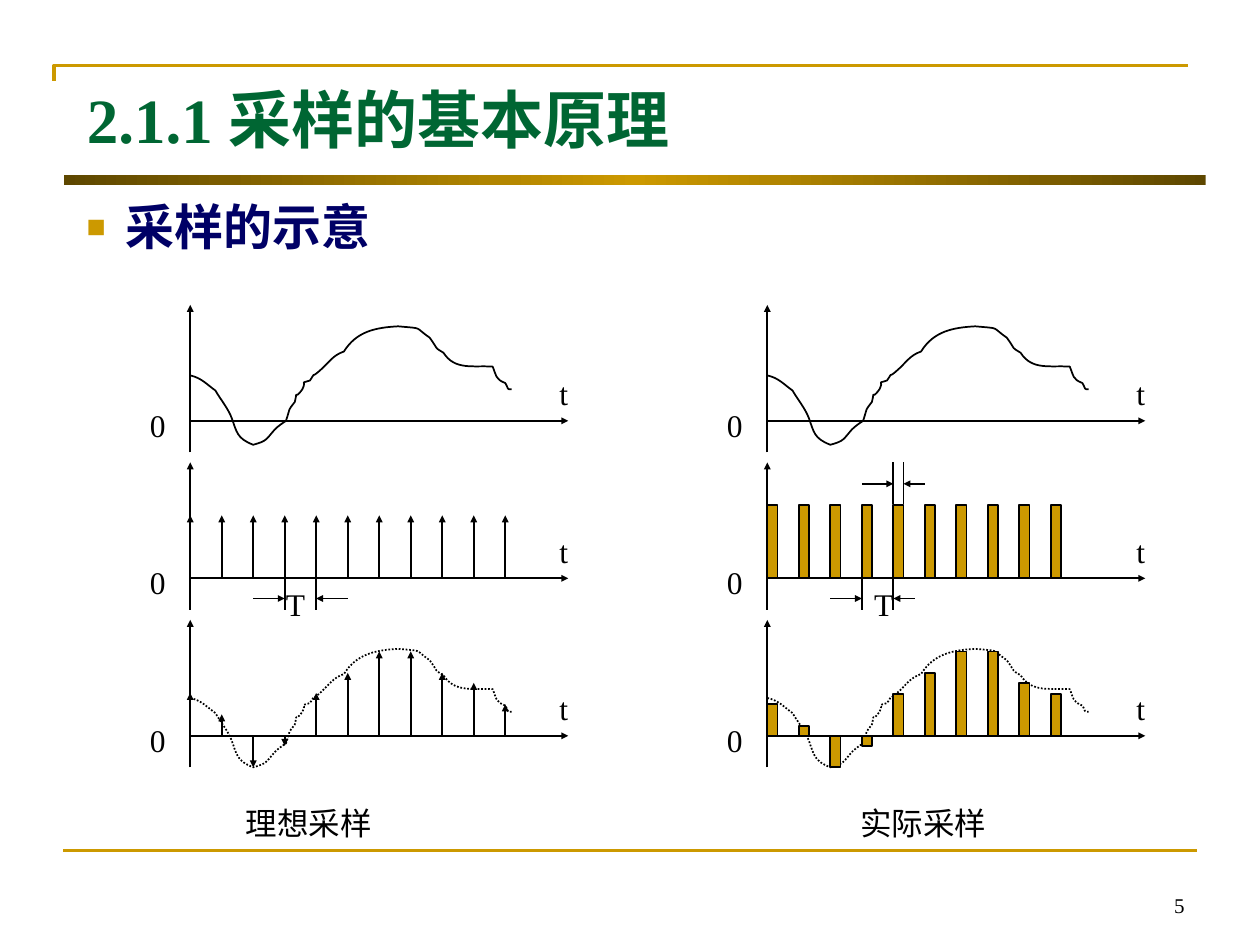
import copy

import lxml.etree
import pptx
import pptx.dml.color
import pptx.enum.dml
import pptx.enum.shapes
import pptx.enum.text
import pptx.oxml
import pptx.oxml.ns
import pptx.util

Inches = pptx.util.Inches
Pt = pptx.util.Pt
RGBColor = pptx.dml.color.RGBColor
qn = pptx.oxml.ns.qn
RECTANGLE = pptx.enum.shapes.MSO_SHAPE.RECTANGLE
ANCHOR = pptx.enum.text.MSO_ANCHOR
ALIGN = pptx.enum.text.PP_ALIGN

COLORS = {
    "gold": "CC9900",
    "brown": "5E4700",
    "green": "006633",
    "navy": "000066",
    "black": "000000",
}
SERIF = "Times New Roman"
CJK = "Noto Sans CJK SC"


def add_line(shapes, x1, y1, x2, y2, arrow=False, color="black", width=1):
    line = shapes.add_connector(
        pptx.enum.shapes.MSO_CONNECTOR.STRAIGHT,
        Inches(x1), Inches(y1), Inches(x2), Inches(y2),
    )
    line.line.color.rgb = RGBColor.from_string(COLORS[color])
    line.line.width = Pt(width)
    if arrow:
        outline = line.line._get_or_add_ln()
        lxml.etree.SubElement(outline, qn("a:tailEnd"), type="triangle", w="sm", len="sm")
    lxml.etree.SubElement(line._element.spPr, qn("a:effectLst"))


def add_text(shapes, text, left, top, width, height, size=18, font=SERIF, color="black", bold=False):
    box = shapes.add_textbox(Inches(left), Inches(top), Inches(width), Inches(height))
    box.text_frame.word_wrap = True
    paragraph = box.text_frame.paragraphs[0]
    paragraph.text = text
    paragraph.font.size = Pt(size)
    paragraph.font.name = font
    paragraph.font.bold = bold
    paragraph.font.color.rgb = RGBColor.from_string(COLORS[color])
    return box


presentation = pptx.Presentation()
presentation.slide_width = Inches(10)
presentation.slide_height = Inches(7.5)
slide = presentation.slides.add_slide(presentation.slide_layouts[5])

builder = slide.shapes.build_freeform(Inches(0.43), Inches(0.64))
builder.add_line_segments([(Inches(0.43), Inches(0.52)), (Inches(9.43), Inches(0.52))], close=False)
corner = builder.convert_to_shape()
corner.shadow.inherit = False
corner.fill.background()
corner.line.color.rgb = RGBColor.from_string(COLORS["gold"])
corner.line.width = Pt(2.25)
add_line(slide.shapes, 0.5, 6.75, 9.5, 6.75, color="gold", width=1.5)

band = slide.shapes.add_shape(RECTANGLE, Inches(0.51), Inches(1.39), Inches(9.06), Inches(0.08))
band.shadow.inherit = False
band.line.fill.background()
band.fill.gradient()
band.fill.gradient_angle = 0
stop_list = band._element.spPr.find(qn("a:gradFill")).find(qn("a:gsLst"))
stop_list.insert(1, copy.deepcopy(stop_list[0]))
for stop, (position, color) in zip(
    band.fill.gradient_stops, [(0, "brown"), (0.5, "gold"), (1, "brown")]
):
    stop.position = position
    stop.color.rgb = RGBColor.from_string(COLORS[color])

title = slide.shapes.title
title.left, title.top, title.width, title.height = map(Inches, (0.59, 0.44, 9, 0.99))
title.text_frame.text = "2.1.1 采样的基本原理"
title.text_frame.vertical_anchor = ANCHOR.MIDDLE
paragraph = title.text_frame.paragraphs[0]
paragraph.alignment = ALIGN.LEFT
paragraph.font.size = Pt(36)
paragraph.font.name = SERIF
paragraph.font.bold = True
paragraph.font.color.rgb = RGBColor.from_string(COLORS["green"])

body = add_text(slide.shapes, "采样的示意", 0.59, 1.28, 9, 4.95, 28, CJK, "navy", True)
paragraph = body.text_frame.paragraphs[0]
properties = paragraph._p.get_or_add_pPr()
properties.set("marL", str(Inches(0.31)))
properties.set("indent", str(Inches(-0.31)))
bullet = pptx.oxml.parse_xml(
    '<a:pPr xmlns:a="http://schemas.openxmlformats.org/drawingml/2006/main">'
    f'<a:buClr><a:srgbClr val="{COLORS["gold"]}"/></a:buClr>'
    '<a:buSzPct val="65000"/><a:buFont typeface="Arial"/><a:buChar char="■"/></a:pPr>'
)
for index, element in enumerate(list(bullet)):
    properties.insert(index, element)
paragraph.line_spacing = 1.5

number = add_text(slide.shapes, "5", 7.17, 6.83, 2.33, 0.5, size=12)
number.text_frame.vertical_anchor = ANCHOR.BOTTOM
number.text_frame.paragraphs[0].alignment = ALIGN.RIGHT

signal_start = (0, 0.39)
signal_beziers = [
    ((0.09, 0.41), (0.13, 0.46), (0.2, 0.51)),
    ((0.24, 0.58), (0.3, 0.65), (0.33, 0.73)),
    ((0.37, 0.84), (0.37, 0.89), (0.5, 0.94)),
    ((0.61, 0.91), (0.6, 0.9), (0.67, 0.82)),
    ((0.7, 0.79), (0.73, 0.77), (0.76, 0.75)),
    ((0.8, 0.63), (0.77, 0.68), (0.83, 0.6)),
    ((0.86, 0.47), (0.81, 0.61), (0.89, 0.5)),
    ((0.93, 0.42), (0.86, 0.46), (0.95, 0.43)),
    ((1.01, 0.34), (0.94, 0.43), (1.03, 0.35)),
    ((1.1, 0.29), (1.13, 0.23), (1.22, 0.2)),
    ((1.32, 0.04), (1.47, 0.01), (1.65, 0)),
    ((1.86, 0.02), (1.77, 0), (1.9, 0.09)),
    ((1.98, 0.2), (1.93, 0.16), (2.01, 0.21)),
    ((2.1, 0.35), (2.24, 0.31), (2.4, 0.32)),
    ((2.43, 0.39), (2.42, 0.42), (2.5, 0.45)),
    ((2.53, 0.5), (2.51, 0.5), (2.55, 0.5)),
]
signal_points = [signal_start] + [point for bezier in signal_beziers for point in bezier]

axis_rows = [3.34, 4.59, 5.84]
pulse_axis, sampled_axis = axis_rows[1:]
period = 0.25
pulse_width = 0.08
ideal_samples = [0.34, 0.17, -0.25, -0.08, 0.34, 0.5, 0.67, 0.67, 0.5, 0.42, 0.25]
real_samples = [0.25, 0.08, -0.25, -0.08, 0.33, 0.5, 0.67, 0.67, 0.42, 0.33]
columns = [
    (1.51, "理想采样", 1.85, 1.25, 0.66),
    (6.09, "实际采样", 6.73, 1.17, 0.75),
]

for origin, caption, caption_left, arrow_start, label_offset in columns:
    shapes = slide.shapes.add_group_shape().shapes
    for axis in axis_rows:
        add_line(shapes, origin, axis, origin + 3, axis, arrow=True)
        add_line(shapes, origin, axis + 0.25, origin, axis - 0.92, arrow=True)
        add_text(shapes, "t", origin + 2.83, axis - 0.42, 0.42, 0.4)
        add_text(shapes, "0", origin - 0.42, axis - 0.17, 0.42, 0.4)

    for top, dotted in [(2.59, False), (5.15, True)]:
        points = [(Inches(origin + x), Inches(top + y)) for x, y in signal_points]
        builder = shapes.build_freeform(*points[0])
        builder.add_line_segments(points[1:], close=False)
        curve = builder.convert_to_shape()
        segments = list(curve._element.iter(qn("a:lnTo")))
        for first in range(0, len(segments), 3):
            bezier = lxml.etree.Element(qn("a:cubicBezTo"))
            segments[first].addprevious(bezier)
            for segment in segments[first:first + 3]:
                bezier.append(segment[0])
                segment.getparent().remove(segment)
        curve.shadow.inherit = False
        curve.fill.background()
        curve.line.color.rgb = RGBColor.from_string(COLORS["black"])
        curve.line.width = Pt(1)
        if dotted:
            curve.line.dash_style = pptx.enum.dml.MSO_LINE.ROUND_DOT

    if caption == "理想采样":
        for index, sample in enumerate(ideal_samples):
            x = origin + index * period
            add_line(shapes, x, pulse_axis, x, pulse_axis - 0.5, arrow=True)
            add_line(shapes, x, sampled_axis, x, sampled_axis - sample, arrow=True)
    else:
        for index, sample in enumerate(real_samples):
            for axis, height in [(pulse_axis, 0.58), (sampled_axis, sample)]:
                bar = shapes.add_shape(
                    RECTANGLE, Inches(origin + index * period), Inches(axis - max(height, 0)),
                    Inches(pulse_width), Inches(abs(height)),
                )
                bar.shadow.inherit = False
                bar.fill.solid()
                bar.fill.fore_color.rgb = RGBColor.from_string(COLORS["gold"])
                bar.line.color.rgb = RGBColor.from_string(COLORS["black"])
                bar.line.width = Pt(1)
        for x in (origin + 1, origin + 1 + pulse_width):
            add_line(shapes, x, 4, x, 3.67)
        add_line(shapes, origin + 0.75, 3.84, origin + 1, 3.84, arrow=True)
        add_line(shapes, origin + 1.25, 3.84, origin + 1 + pulse_width, 3.84, arrow=True)

    left, right = origin + 0.75, origin + 1
    for x in (left, right):
        add_line(shapes, x, pulse_axis, x, pulse_axis + 0.25)
    add_line(shapes, left - period, 4.75, left, 4.75, arrow=True)
    add_line(shapes, origin + arrow_start, 4.75, right, 4.75, arrow=True)
    add_text(shapes, "T", origin + label_offset, pulse_axis, 0.33, 0.4)
    add_text(shapes, caption, caption_left, 6.33, 2.31, 0.4, font="Arial")

presentation.save("out.pptx")
